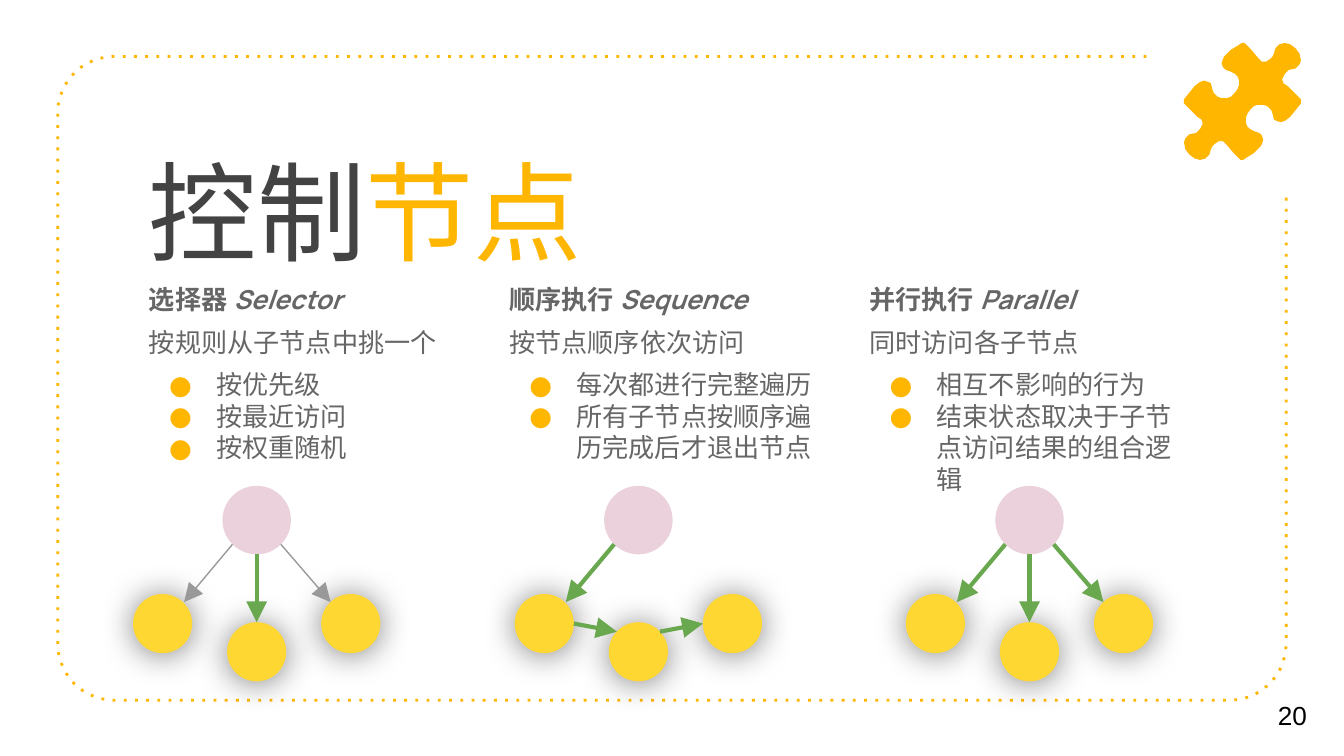
from math import cos, radians, sin
from typing import NamedTuple

from lxml.etree import SubElement
from pptx import Presentation
from pptx.dml.color import RGBColor as RGB
from pptx.enum.shapes import MSO_CONNECTOR as LINK, MSO_SHAPE as FORM
from pptx.enum.text import MSO_ANCHOR as ANCHOR
from pptx.oxml.ns import qn
from pptx.util import Inches, Pt

GOLD = RGB(0xFF, 0xB6, 0x00)
SUN = RGB(0xFF, 0xD7, 0x33)
PINK = RGB(0xEA, 0xD1, 0xDC)
GREEN = RGB(0x6A, 0xA8, 0x4F)
PALE = RGB(0x99, 0x99, 0x99)
GREY = RGB(0x66, 0x66, 0x66)
DARK = RGB(0x43, 0x43, 0x43)
BLACK = RGB(0, 0, 0)
FONT = "Manrope"

Point = tuple[float, float]


class Arrow(NamedTuple):
    start: Point
    end: Point
    color: RGB = GREEN
    width: float = 2.25


class Column(NamedTuple):
    left: float
    name: str
    term: str
    rule: str
    items: list[str]
    mid: float
    arrows: list[Arrow]


LEFT = Arrow((-0.18, 4.05), (-0.54, 4.48))
DOWN = Arrow((0, 4.12), (0, 4.63))
RIGHT = Arrow((0.18, 4.05), (0.55, 4.48))
FADE = {"color": PALE, "width": 0.75}
LEAVES = [(-0.7, 4.64), (0, 4.85), (0.7, 4.64)]

COLUMNS = [
    Column(1.01, "选择器 ", "Selector", "按规则从子节点中挑一个",
           ["按优先级", "按最近访问", "按权重随机"], 1.91,
           [LEFT._replace(**FADE), DOWN, RIGHT._replace(**FADE)]),
    Column(3.69, "顺序执行 ", "Sequence", "按节点顺序依次访问",
           ["每次都进行完整遍历", "所有子节点按顺序遍历完成后才退出节点"], 4.75,
           [LEFT, Arrow((-0.48, 4.64), (-0.16, 4.7)),
            Arrow((0.16, 4.7), (0.48, 4.64))]),
    Column(6.37, "并行执行 ", "Parallel", "同时访问各子节点",
           ["相互不影响的行为", "结束状态取决于子节点访问结果的组合逻辑"], 7.66,
           [LEFT, DOWN, RIGHT]),
]

HALF = [
    (9.24, 0.32), (9.21, 0.34), (9.16, 0.37), (9.11, 0.42), (9.1, 0.44),
    (9.09, 0.47), (9.1, 0.5), (9.12, 0.52), (9.15, 0.53), (9.19, 0.55),
    (9.21, 0.57), (9.22, 0.6), (9.22, 0.63), (9.21, 0.66), (9.19, 0.69),
    (9.16, 0.72), (9.13, 0.73), (9.09, 0.73), (9.06, 0.72), (9.03, 0.69),
    (9.02, 0.66), (9.01, 0.62), (8.99, 0.61), (8.96, 0.6), (8.93, 0.61),
    (8.89, 0.64), (8.85, 0.69), (8.81, 0.74), (8.81, 0.77), (8.83, 0.79),
    (8.86, 0.82), (8.91, 0.87), (8.94, 0.89), (8.95, 0.92), (8.93, 0.96),
    (8.9, 0.99), (8.85, 1), (8.82, 1.03), (8.81, 1.06), (8.82, 1.11),
    (8.85, 1.15), (8.89, 1.18), (8.93, 1.19), (8.97, 1.18), (9, 1.15),
    (9.01, 1.11), (9.02, 1.09), (9.04, 1.07), (9.07, 1.05), (9.1, 1.05),
    (9.13, 1.08), (9.18, 1.14), (9.21, 1.17), (9.23, 1.19),
]


def arc(x: float, y: float, first: int) -> list[Point]:
    turns = [radians(first - 9 * step) for step in range(11)]
    return [(x + 0.42 * cos(turn), y + 0.42 * sin(turn)) for turn in turns]


def trace(shapes, points: list[Point], close: bool):
    dots = [(x * 1000, y * 1000) for x, y in points]
    pen = shapes.build_freeform(*dots[0], scale=Inches(1) / 1000)
    pen.add_line_segments(dots[1:], close=close)
    shape = pen.convert_to_shape()
    shape.shadow.inherit = False
    return shape


def draw_frame(shapes) -> None:
    points = [(8.53, 0.42), *arc(0.85, 0.84, 270), *arc(0.85, 4.79, 180),
              *arc(9.15, 4.79, 90), (9.57, 1.46)]
    frame = trace(shapes, points, False)
    frame.fill.background()
    frame.line.color.rgb = GOLD
    frame.line.width = Pt(1.5)
    edge = frame.element.spPr.find(qn("a:ln"))
    SubElement(edge, qn("a:prstDash"), val="dot")


def draw_piece(shapes) -> None:
    turned = [(18.49 - x, 1.51 - y) for x, y in HALF]
    piece = trace(shapes, HALF + turned, True)
    piece.fill.solid()
    piece.fill.fore_color.rgb = GOLD
    piece.line.fill.background()


def draw_disc(shapes, x: float, y: float, size: float, color: RGB, glow: bool) -> None:
    disc = shapes.add_shape(FORM.OVAL, Inches(x - size / 2), Inches(y - size / 2),
                            Inches(size), Inches(size))
    disc.fill.solid()
    disc.fill.fore_color.rgb = color
    disc.line.fill.background()
    disc.shadow.inherit = False
    if glow:
        effects = disc.element.spPr.find(qn("a:effectLst"))
        shade = SubElement(effects, qn("a:outerShdw"), blurRad=str(Pt(18)),
                           dist=str(Pt(0.8)), dir="5400000", algn="bl", rotWithShape="0")
        tint = SubElement(shade, qn("a:srgbClr"), val=str(BLACK))
        SubElement(tint, qn("a:alpha"), val="50000")


def draw_arrow(shapes, mid: float, arrow: Arrow) -> None:
    (x1, y1), (x2, y2) = arrow.start, arrow.end
    link = shapes.add_connector(LINK.STRAIGHT, Inches(mid + x1), Inches(y1),
                                Inches(mid + x2), Inches(y2))
    link.line.color.rgb = arrow.color
    link.line.width = Pt(arrow.width)
    props = link.element.spPr
    SubElement(props.find(qn("a:ln")), qn("a:tailEnd"), type="triangle", w="lg", len="lg")
    SubElement(props, qn("a:effectLst"))


def add_box(shapes, x: float, y: float, width: float, height: float):
    frame = shapes.add_textbox(Inches(x), Inches(y), Inches(width), Inches(height)).text_frame
    frame.word_wrap = True
    frame.margin_left = frame.margin_right = Inches(0.1)
    frame.margin_top = frame.margin_bottom = Inches(0.1)
    return frame


def add_run(para, text: str, color: RGB = GREY, size: float = 14, face: str = FONT,
            bold: bool = False, slant: bool = False) -> None:
    run = para.add_run()
    run.text = text
    font = run.font
    font.name, font.size, font.bold, font.italic = face, Pt(size), bold, slant
    font.color.rgb = color


def add_item(frame, text: str, gap: float) -> None:
    para = frame.add_paragraph()
    props = para._p.get_or_add_pPr()
    props.set("marL", str(Inches(0.5)))
    props.set("indent", str(Inches(-0.35)))
    SubElement(SubElement(props, qn("a:buClr")), qn("a:srgbClr"), val=str(GOLD))
    SubElement(props, qn("a:buFont"), typeface=FONT)
    SubElement(props, qn("a:buChar"), char="●")
    para.space_before = Pt(gap)
    add_run(para, text)


def draw_text(shapes, col: Column) -> None:
    frame = add_box(shapes, col.left, 2.01, 2.55, 2.41)
    head = frame.paragraphs[0]
    add_run(head, col.name, bold=True)
    add_run(head, col.term, bold=True, slant=True)
    rule = frame.add_paragraph()
    rule.space_before = Pt(6)
    add_run(rule, col.rule)
    for index, item in enumerate(col.items):
        add_item(frame, item, 0 if index else 6)


def draw_tree(shapes, col: Column) -> None:
    draw_disc(shapes, col.mid, 3.87, 0.51, PINK, False)
    for x, y in LEAVES:
        draw_disc(shapes, col.mid + x, y, 0.44, SUN, True)
    for arrow in col.arrows:
        draw_arrow(shapes, col.mid, arrow)


def main() -> None:
    """Build the slide on control nodes and save it."""
    deck = Presentation()
    deck.slide_width, deck.slide_height = Inches(10), Inches(10 * 9 / 16)
    shapes = deck.slides.add_slide(deck.slide_layouts[6]).shapes
    draw_frame(shapes)
    title = add_box(shapes, 1.01, 0.98, 7.51, 0.94).paragraphs[0]
    add_run(title, "控制", DARK, 58)
    add_run(title, "节点", GOLD, 58)
    for col in COLUMNS:
        draw_text(shapes, col)
    number = add_box(shapes, 9.41, 5.02, 0.59, 0.6)
    number.vertical_anchor = ANCHOR.MIDDLE
    add_run(number.paragraphs[0], "20", BLACK, 14, "Arial")
    draw_piece(shapes)
    for col in COLUMNS:
        draw_tree(shapes, col)
    deck.save("out.pptx")


if __name__ == "__main__":
    main()
